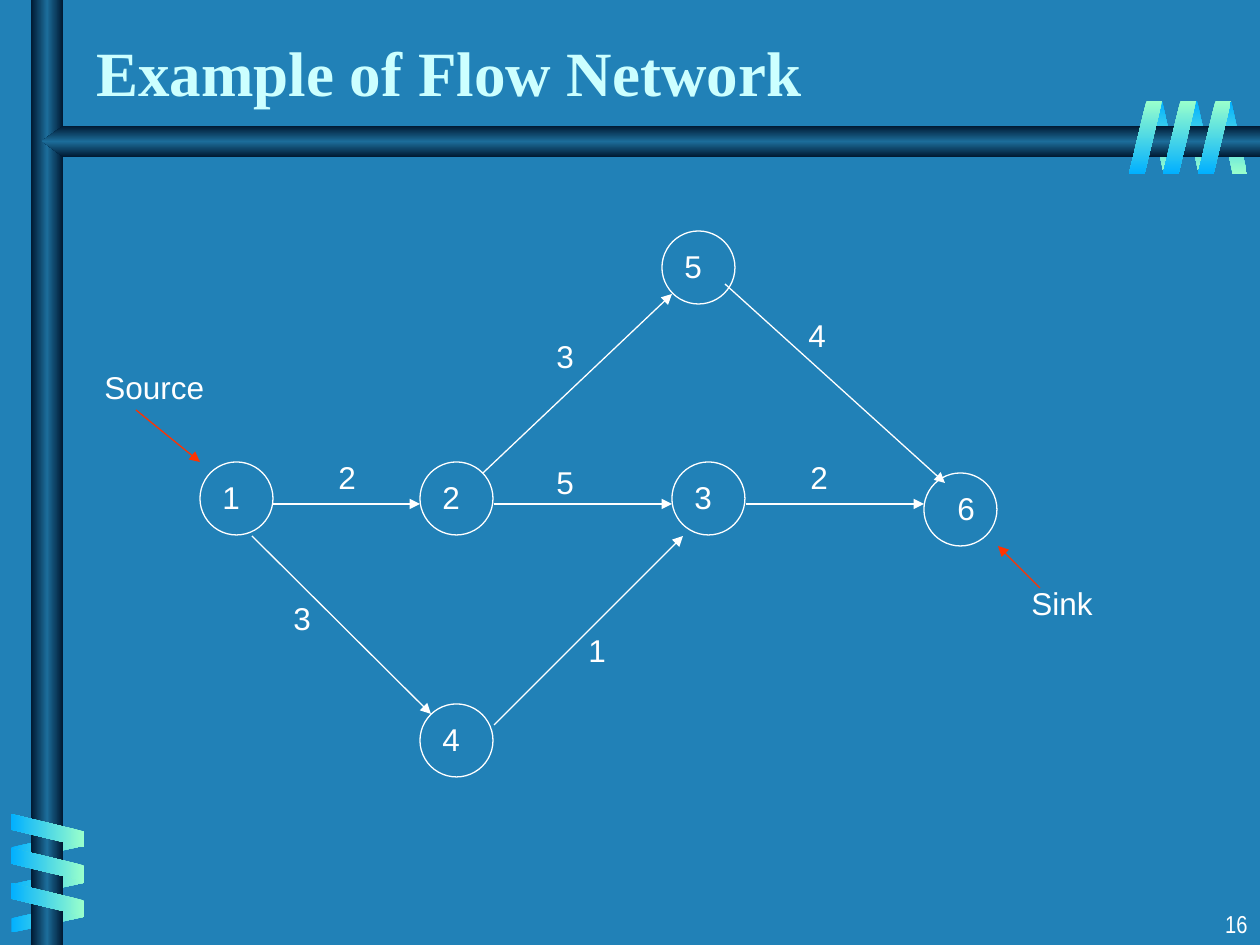
from dataclasses import dataclass

from lxml import etree
from pptx import Presentation
from pptx import util as u
from pptx.dml.color import RGBColor
from pptx.enum import shapes, text
from pptx.oxml.ns import qn

PX = 914400 // 126  # EMU in one px
WIDTH, HEIGHT = 1260, 945


@dataclass(frozen=True)
class Theme:
    back: str = "2181B7"
    title: str = "CCFFFF"
    ink: str = "FFFFFF"
    pointer: str = "FF3300"
    bar: tuple = ("001932", "1C6D9A", "001932")
    coil_front: tuple = ("99FFCC", "01B0FF")
    coil_back: tuple = ("01B0FF", "99FFCC")
    title_font: str = "Times New Roman"
    body_font: str = "Arial"
    number_font: str = "Arial Narrow"
    title_size: int = 36
    body_size: int = 18
    number_size: int = 14
    line: float = 0.75


def px(*values):
    return [u.Emu(v * PX) for v in values]


def write(tf, words, *, font, size, color, bold=False,
          align=text.PP_ALIGN.LEFT, anchor=text.MSO_ANCHOR.TOP, wrap=True):
    tf.word_wrap = wrap
    tf.vertical_anchor = anchor
    tf.auto_size = text.MSO_AUTO_SIZE.NONE if wrap else text.MSO_AUTO_SIZE.SHAPE_TO_FIT_TEXT
    p = tf.paragraphs[0]
    p.alignment = align
    r = p.add_run()
    r.text = words
    r.font.name, r.font.size, r.font.bold = font, u.Pt(size), bold
    r.font.color.rgb = RGBColor.from_string(color)


class Canvas:
    def __init__(self, slide, theme):
        self.s, self.t = slide, theme
        fill = slide.background.fill
        fill.solid()
        fill.fore_color.rgb = RGBColor.from_string(theme.back)

    def gradient(self, sp, colors, angle):
        """Fill with evenly spaced stops that stay put when the shape turns."""
        sp.shadow.inherit = False
        sp.line.fill.background()
        sp.fill.gradient()
        grad = sp._element.spPr.find(qn("a:gradFill"))
        grad.set("rotWithShape", "0")
        stops = grad.find(qn("a:gsLst"))
        for stop in list(stops):
            stops.remove(stop)
        for i, color in enumerate(colors):
            stop = etree.SubElement(stops, qn("a:gs"), pos=str(100000 * i // (len(colors) - 1)))
            etree.SubElement(stop, qn("a:srgbClr"), val=color)
        grad.find(qn("a:lin")).set("ang", str(angle * 60000))

    def coil(self, x, y, w, colors, angle, rotation=0, flip=False):
        sp = self.s.shapes.add_shape(shapes.MSO_SHAPE.PARALLELOGRAM, *px(x, y, w, 73))
        sp.adjustments[0] = 0.53
        sp.rotation = rotation
        if flip:
            sp._element.spPr.find(qn("a:xfrm")).set("flipH", "1")
        self.gradient(sp, colors, angle)

    def upright_bar(self, x, y, w, h):
        sp = self.s.shapes.add_shape(shapes.MSO_SHAPE.RECTANGLE, *px(x, y, w, h))
        self.gradient(sp, self.t.bar, 180)

    def pointed_bar(self, points):
        start, *rest = [px(*point) for point in points]
        builder = self.s.shapes.build_freeform(*start)
        builder.add_line_segments(rest, close=True)
        self.gradient(builder.convert_to_shape(), self.t.bar, 90)

    def circle(self, x, y, size):
        sp = self.s.shapes.add_shape(shapes.MSO_SHAPE.OVAL, *px(x, y, size, size))
        sp.shadow.inherit = False
        sp.fill.background()
        sp.line.color.rgb = RGBColor.from_string(self.t.ink)
        sp.line.width = u.Pt(self.t.line)

    def arrow(self, start, end, color):
        c = self.s.shapes.add_connector(shapes.MSO_CONNECTOR.STRAIGHT, *px(*start, *end))
        c.line.color.rgb = RGBColor.from_string(color)
        c.line.width = u.Pt(self.t.line)
        sp_pr = c._element.spPr
        etree.SubElement(sp_pr.find(qn("a:ln")), qn("a:tailEnd"), type="triangle")
        etree.SubElement(sp_pr, qn("a:effectLst"))

    def box(self, x, y, w, h, words, **look):
        write(self.s.shapes.add_textbox(*px(x, y, w, h)).text_frame, words, **look)

    def label(self, x, y, words, w=43):
        self.box(x, y, w, 50, words, font=self.t.body_font, size=self.t.body_size,
                 color=self.t.ink, wrap=False)


# Node: left, top, label offset from the left
NODES = {
    "1": (200, 462, 10),
    "4": (420, 704, 10),
    "3": (672, 462, 10),
    "2": (420, 462, 10),
    "5": (662, 231, 10),
    "6": (924, 473, 21),
}
# Edge: start, end, weight, weight position
EDGES = [
    ((252, 536), (431, 714), "3", (281, 593)),
    ((273, 504), (420, 504), "2", (326, 452)),
    ((483, 473), (672, 294), "3", (544, 331)),
    ((494, 504), (672, 504), "5", (544, 457)),
    ((494, 725), (683, 536), "1", (576, 625)),
    ((746, 504), (924, 504), "2", (798, 452)),
    ((725, 284), (945, 483), "4", (796, 310)),
]


def main():
    prs = Presentation()
    prs.slide_width, prs.slide_height = px(WIDTH, HEIGHT)
    t = Theme()
    c = Canvas(prs.slides.add_slide(prs.slide_layouts[6]), t)

    # Coils behind the bars
    for x in (1217, 1183, 1148):
        c.coil(x, 101, 30, t.coil_back, 90, rotation=180, flip=True)
    for y in (810, 847, 881):
        c.coil(33, y, 30, t.coil_back, 180, rotation=90, flip=True)

    # Bars
    c.upright_bar(31, 0, 32, HEIGHT)
    c.pointed_bar([(WIDTH, 126), (63, 126), (42, 141), (63, 157), (WIDTH, 157)])

    # Coils in front of the bars
    for y in (794, 828, 863):
        c.coil(31, y, 33, t.coil_front, 180, rotation=270)
    for x in (1198, 1163, 1129):
        c.coil(x, 101, 33, t.coil_front, 90)

    # Title
    c.box(84, 21, 1046, 94, "Example of Flow Network", font=t.title_font, size=t.title_size,
          color=t.title, bold=True, anchor=text.MSO_ANCHOR.BOTTOM)

    # Network
    for x, y, _ in NODES.values():
        c.circle(x, y, 73)
    for start, end, _, _ in EDGES:
        c.arrow(start, end, t.ink)
    for name, (x, y, offset) in NODES.items():
        c.label(x + offset, y + 10, name)
    for _, _, weight, place in EDGES:
        c.label(*place, weight)

    # Source and sink pointers
    c.label(92, 362, "Source", w=128)
    c.label(1019, 578, "Sink", w=92)
    c.arrow((136, 410), (200, 462), t.pointer)
    c.arrow((1040, 588), (998, 546), t.pointer)

    # Slide number
    c.box(998, 903, 262, 42, "16", font=t.number_font, size=t.number_size, color=t.ink,
          align=text.PP_ALIGN.RIGHT)

    prs.save("out.pptx")


if __name__ == "__main__":
    main()
